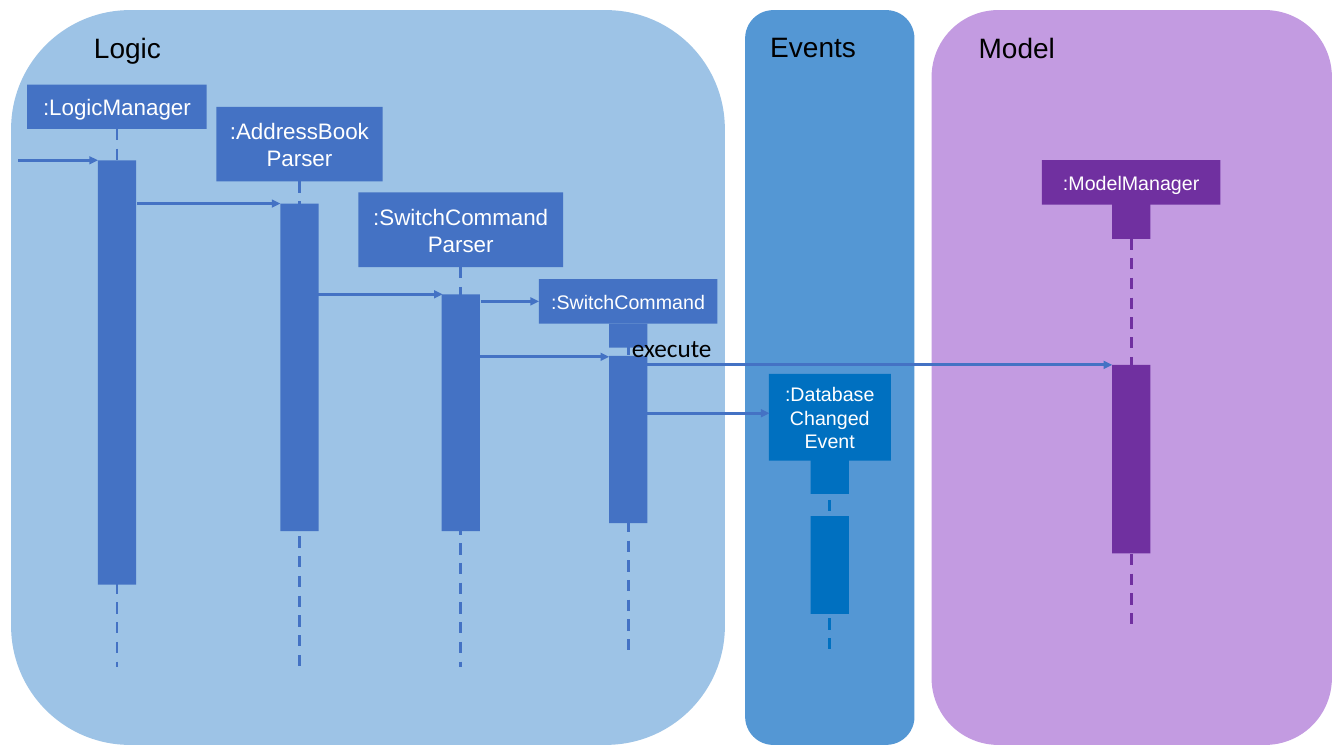
from lxml import etree
from pptx import Presentation
from pptx.dml.color import RGBColor
from pptx.enum.dml import MSO_LINE
from pptx.enum.shapes import MSO_CONNECTOR, MSO_SHAPE
from pptx.enum.text import MSO_ANCHOR, PP_ALIGN
from pptx.oxml.ns import qn
from pptx.util import Inches, Pt

LOGIC_PANEL = RGBColor(0x9D, 0xC3, 0xE6)
EVENTS_PANEL = RGBColor(0x54, 0x97, 0xD4)
MODEL_PANEL = RGBColor(0xC3, 0x9B, 0xE1)
BLUE = RGBColor(0x44, 0x72, 0xC4)
DEEP_BLUE = RGBColor(0x00, 0x70, 0xC0)
PURPLE = RGBColor(0x70, 0x30, 0xA0)
WHITE = RGBColor(0xFF, 0xFF, 0xFF)
BLACK = RGBColor(0x00, 0x00, 0x00)

PANEL_TOP, PANEL_HEIGHT = 0.1, 7.29
BAR_WIDTH = 0.38
TITLE_SIZE = (1.11, 0.44)

# Panels: title, left, width, title left, title top, colour
PANELS = [
    ("Logic", 0.11, 7.08, 0.71, 0.25, LOGIC_PANEL),
    ("Events", 7.39, 1.68, 7.51, 0.24, EVENTS_PANEL),
    ("Model", 9.24, 3.97, 9.53, 0.25, MODEL_PANEL),
]

# Participants: name, centre x, head (top, width, height), text size, colour,
# activation bars (top, height), lifeline start (None: under the head), lifeline end
PARTICIPANTS = [
    (":LogicManager", 1.16, (0.84, 1.78, 0.44), 16, BLUE,
     [(1.59, 4.21)], None, 6.62),
    (":AddressBookParser", 2.97, (1.06, 1.65, 0.74), 16, BLUE,
     [(2.02, 3.25)], None, 6.62),
    (":SwitchCommandParser", 4.57, (1.91, 2.03, 0.74), 16, BLUE,
     [(2.92, 2.35)], None, 6.62),
    (":SwitchCommand", 6.23, (2.77, 1.77, 0.44), 14, BLUE,
     [(3.21, 0.24), (3.53, 1.66)], None, 6.5),
    (":DatabaseChanged Event", 8.23, (3.71, 1.21, 0.86), 14, DEEP_BLUE,
     [(4.55, 0.35), (5.12, 0.97)], None, 6.5),
    (":ModelManager", 11.22, (1.59, 1.77, 0.44), 14, PURPLE,
     [(2.02, 0.35), (3.62, 1.87)], 2.17, 6.25),
]

# Messages: from x, to x, y, participant whose head is joined
MESSAGES = [
    (0.18, 0.97, 1.59, None),
    (1.36, 2.78, 2.02, None),
    (2.96, 4.39, 2.92, None),
    (4.77, 5.34, 2.99, ":SwitchCommand"),
    (4.68, 6.04, 3.54, None),
    (6.36, 11.03, 3.62, None),
    (6.36, 7.63, 4.1, None),
]

EXECUTE_LABEL = ("execute", 6.17, 3.25, 1, 0.4)

deck = Presentation()
deck.slide_width, deck.slide_height = Inches(13.33), Inches(7.5)
page = deck.slides.add_slide(deck.slide_layouts[6])


def add_block(kind, left, top, width, height, colour):
    block = page.shapes.add_shape(
        kind, Inches(left), Inches(top), Inches(width), Inches(height))
    block.shadow.inherit = False
    block.fill.solid()
    block.fill.fore_color.rgb = colour
    block.line.fill.background()
    return block


def write(box, text, size, font, colour, align):
    box.text_frame.word_wrap = True
    para = box.text_frame.paragraphs[0]
    para.alignment = align
    span = para.add_run()
    span.text = text
    span.font.size = Pt(size)
    span.font.name = font
    span.font.color.rgb = colour


def add_label(text, left, top, width, height, size, font, align):
    box = page.shapes.add_textbox(
        Inches(left), Inches(top), Inches(width), Inches(height))
    write(box, text, size, font, BLACK, align)


def add_line(x1, y1, x2, y2, colour):
    line = page.shapes.add_connector(
        MSO_CONNECTOR.STRAIGHT, Inches(x1), Inches(y1), Inches(x2), Inches(y2))
    line.line.color.rgb = colour
    line.line.width = Pt(2)
    etree.SubElement(line._element.spPr, qn("a:effectLst"))
    return line


# Panels and their titles
for title, left, width, title_left, title_top, colour in PANELS:
    add_block(MSO_SHAPE.ROUNDED_RECTANGLE, left, PANEL_TOP, width, PANEL_HEIGHT, colour)
    add_label(title, title_left, title_top, *TITLE_SIZE, 20, "Arial", PP_ALIGN.CENTER)

# Participants with activation bars and lifelines
heads = {}
for name, x, (top, width, height), size, colour, bars, start, end in PARTICIPANTS:
    head = add_block(MSO_SHAPE.RECTANGLE, x - width / 2, top, width, height, colour)
    head.text_frame.vertical_anchor = MSO_ANCHOR.MIDDLE
    write(head, name, size, "Arial", WHITE, PP_ALIGN.CENTER)
    heads[name] = head
    for bar_top, bar_height in bars:
        add_block(MSO_SHAPE.RECTANGLE, x - BAR_WIDTH / 2, bar_top,
                  BAR_WIDTH, bar_height, colour)
    lifeline = add_line(x, start or top + height, x, end, colour)
    lifeline.line.dash_style = MSO_LINE.DASH
    if start is None:
        lifeline.begin_connect(head, 2)

# Message arrows
for x1, x2, y, target in MESSAGES:
    message = add_line(x1, y, x2, y, BLUE)
    etree.SubElement(message.line._get_or_add_ln(), qn("a:tailEnd"), type="triangle")
    if target:
        message.end_connect(heads[target], 1)

# Call label
add_label(*EXECUTE_LABEL, 18, "Calibri", PP_ALIGN.LEFT)

deck.save("out.pptx")
